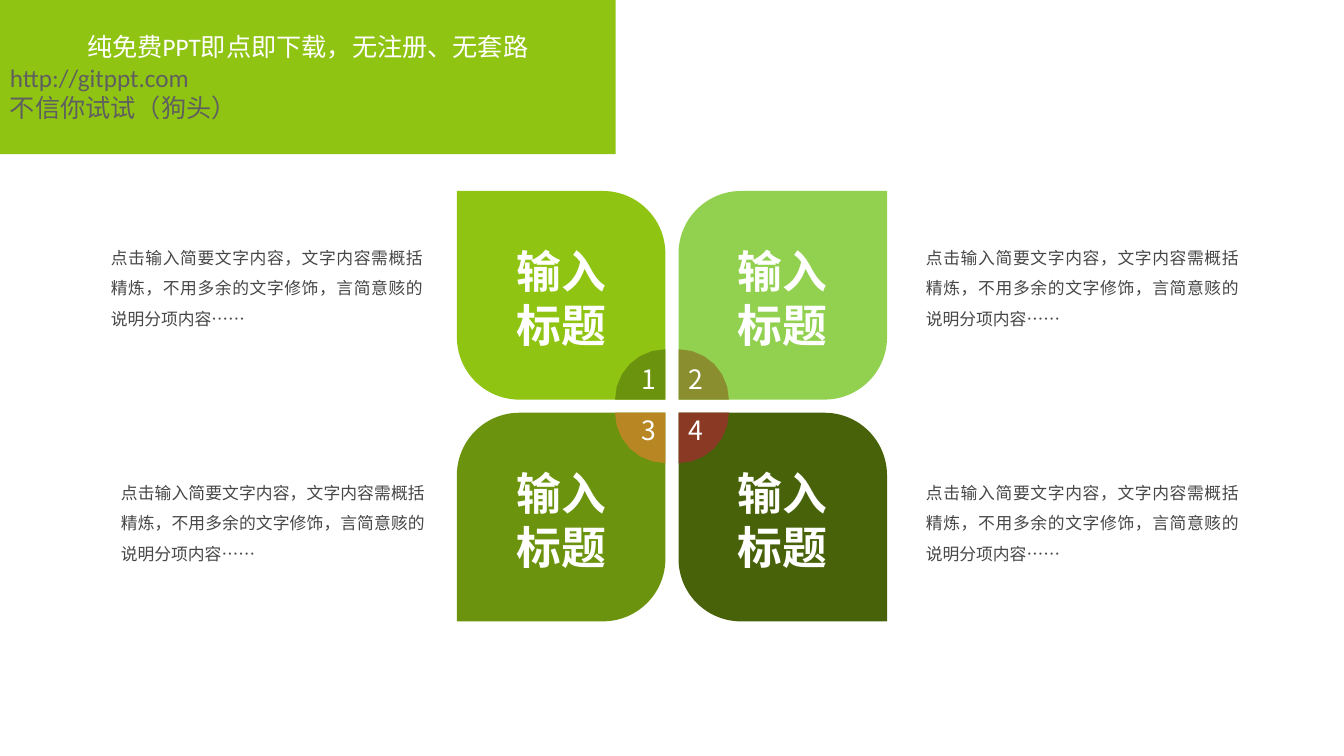
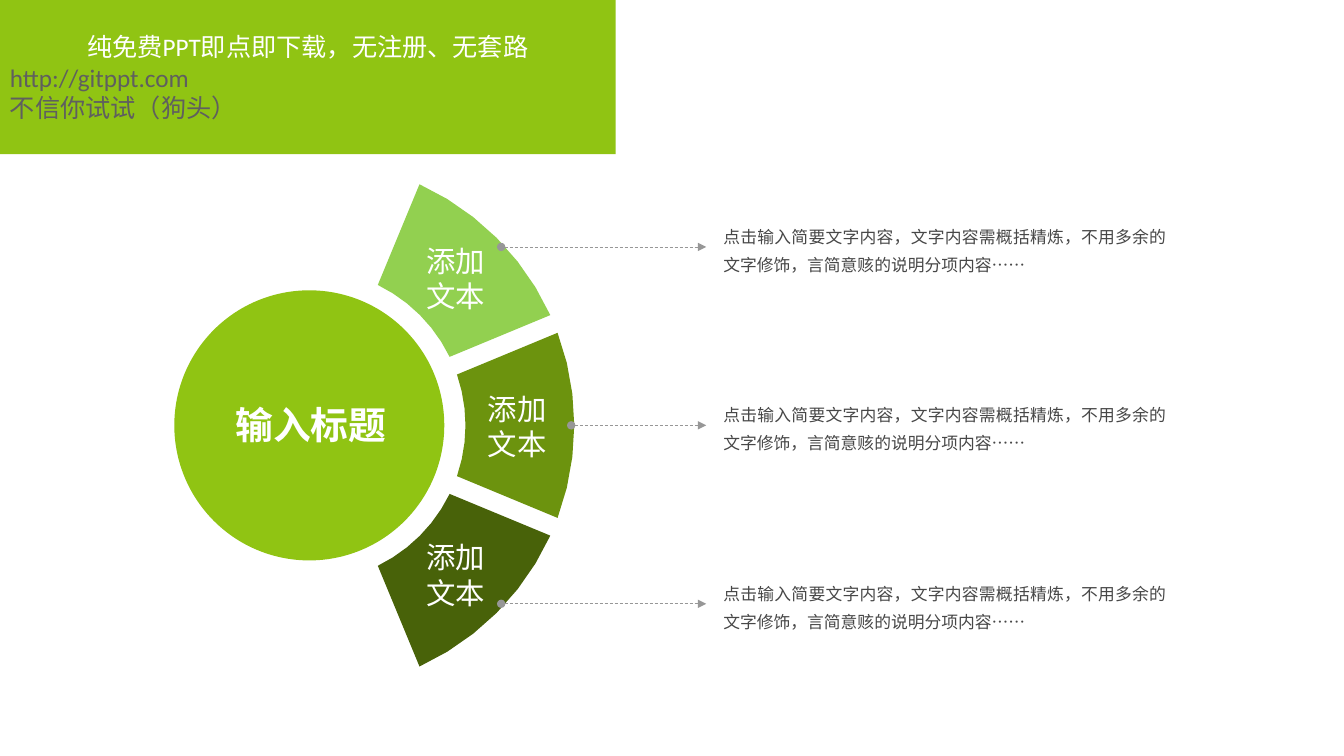
from dataclasses import dataclass
from math import asin, cos, radians, sin, sqrt

from lxml.etree import SubElement
from pptx import Presentation
from pptx.dml.color import RGBColor
from pptx.enum.dml import MSO_LINE
from pptx.enum.shapes import MSO_CONNECTOR, MSO_SHAPE
from pptx.enum.text import MSO_ANCHOR, MSO_AUTO_SIZE, PP_ALIGN
from pptx.oxml.ns import qn
from pptx.shapes.autoshape import Shape
from pptx.slide import Slide
from pptx.text.text import TextFrame, _Paragraph as Para
from pptx.util import Inches, Length, Pt


@dataclass(frozen=True)
class Theme:
    font: str = "Noto Sans CJK SC"
    latin: str = "Calibri"
    lime: str = "90C413"
    light: str = "92D050"
    olive: str = "6C930E"
    dark: str = "486209"
    moss: str = "8B8E2E"
    amber: str = "B88723"
    rust: str = "8A3A24"
    white: str = "FFFFFF"
    ink: str = "474747"
    slate: str = "5F5F5F"
    gray: str = "979797"
    body: int = 12
    band: int = 18
    digit: int = 19
    label: int = 21
    title: int = 27
    petal: int = 32


@dataclass(frozen=True)
class Petal:
    digit: str
    col: int
    row: int
    fill: str
    chip: str
    turn: int  # start angle of the quarter circle
    note: tuple[float, float]  # left and width of the text beside it


T = Theme()
HEAD = "输入标题"
LABEL = "添加文本"
NOTE = "点击输入简要文字内容，文字内容需概括精炼，不用多余的文字修饰，言简意赅的说明分项内容……"
BAND = [
    ("纯免费PPT即点即下载，无注册、无套路", T.white, PP_ALIGN.CENTER),
    ("http://gitppt.com", T.slate, PP_ALIGN.LEFT),
    ("不信你试试（狗头）", T.slate, PP_ALIGN.LEFT),
]

PETALS = [
    Petal("1", 0, 0, T.lime, T.olive, 180, (1.1, 3.1)),
    Petal("2", 1, 0, T.light, T.moss, 270, (9.19, 3.11)),
    Petal("3", 0, 1, T.olive, T.amber, 90, (1.2, 3.02)),
    Petal("4", 1, 1, T.dark, T.rust, 0, (9.19, 3.11)),
]
FANS = [(-45, T.light), (0, T.olive), (45, T.dark)]


def paint(shape: Shape, fill: str) -> None:
    shape.shadow.inherit = False
    shape.fill.solid()
    shape.fill.fore_color.rgb = RGBColor.from_string(fill)
    shape.line.fill.background()


def style(para: Para, size: int, color: str, align: PP_ALIGN,
          bold: bool = False, name: str = T.font) -> None:
    para.alignment = align
    font = para.font
    font.size, font.bold = Pt(size), bold
    font.color.rgb = RGBColor.from_string(color)
    font.name = name
    props = para._p.pPr.find(qn("a:defRPr"))
    SubElement(props, qn("a:ea")).set("typeface", T.font)


def write(frame: TextFrame, text: str, size: int, color: str = T.white,
          align: PP_ALIGN = PP_ALIGN.CENTER, bold: bool = False,
          pad: tuple[float, float, float, float] = (0, 0, 0, 0),
          lead: float | Length | None = None) -> None:
    """Fill a frame with one paragraph; pad is left, top, right, bottom."""
    (frame.margin_left, frame.margin_top,
     frame.margin_right, frame.margin_bottom) = map(Inches, pad)
    frame.word_wrap = True
    frame.text = text
    para = frame.paragraphs[0]
    para.line_spacing = lead
    style(para, size, color, align, bold)


def add_block(slide: Slide, kind: MSO_SHAPE, left: float, top: float,
              width: float, height: float, fill: str) -> Shape:
    shape = slide.shapes.add_shape(kind, Inches(left), Inches(top),
                                   Inches(width), Inches(height))
    paint(shape, fill)
    return shape


def add_text(slide: Slide, left: float, top: float, width: float,
             height: float) -> TextFrame:
    box = slide.shapes.add_textbox(Inches(left), Inches(top),
                                   Inches(width), Inches(height))
    return box.text_frame


def add_fan(slide: Slide, x: float, y: float, inner: float, outer: float,
            start: float, end: float, fill: str, gap: float = 0) -> None:
    """Draw a ring sector whose straight sides stand gap / 2 off the rays."""
    steps = 6

    def arc(radius: float) -> list[tuple[Length, Length]]:
        if not radius:
            return [(Inches(x), Inches(y))]
        lean = asin(gap / 2 / radius)
        low, high = radians(start) + lean, radians(end) - lean
        turns = [low + (high - low) * i / steps for i in range(steps + 1)]
        return [(Inches(x + radius * cos(a)), Inches(y + radius * sin(a)))
                for a in turns]

    first, *rest = arc(outer) + arc(inner)[::-1]
    pen = slide.shapes.build_freeform(*first, scale=1.0)
    pen.add_line_segments(rest, close=True)
    paint(pen.convert_to_shape(), fill)


def add_arrow(slide: Slide, left: float, right: float, y: float) -> None:
    link = slide.shapes.add_connector(MSO_CONNECTOR.STRAIGHT, Inches(left),
                                      Inches(y), Inches(right), Inches(y))
    link.line.color.rgb = RGBColor.from_string(T.gray)
    link.line.width = Pt(0.5)
    link.line.dash_style = MSO_LINE.DASH
    props = link._element.spPr
    edge = props.find(qn("a:ln"))
    SubElement(edge, qn("a:headEnd")).set("type", "oval")
    SubElement(edge, qn("a:tailEnd")).set("type", "triangle")
    SubElement(props, qn("a:effectLst"))


def add_band(slide: Slide) -> None:
    band = add_block(slide, MSO_SHAPE.RECTANGLE, 0, 0, 6.11, 1.53, T.lime)
    frame = band.text_frame
    frame.vertical_anchor = MSO_ANCHOR.MIDDLE
    frame.text = "\n".join(text for text, _, _ in BAND)
    for para, (_, color, align) in zip(frame.paragraphs, BAND):
        style(para, T.band, color, align, name=T.latin)


def draw_petals(slide: Slide) -> None:
    side, gap, mid_x, mid_y = 2.07, 0.13, 6.67, 4.03
    for petal in PETALS:
        left = mid_x + gap / 2 + (petal.col - 1) * (side + gap)
        top = mid_y + gap / 2 + (petal.row - 1) * (side + gap)
        leaf = add_block(slide, MSO_SHAPE.ROUND_2_DIAG_RECTANGLE,
                         left, top, side, side, petal.fill)
        same = petal.col == petal.row
        leaf.adjustments[0] = 0 if same else 0.3
        leaf.adjustments[1] = 0.3 if same else 0
        leaf.text_frame.vertical_anchor = MSO_ANCHOR.MIDDLE
        write(leaf.text_frame, HEAD, T.petal, bold=True,
              pad=(0.22, 0.05, 0.22, 0))

        add_fan(slide, mid_x + (petal.col - 0.5) * gap,
                mid_y + (petal.row - 0.5) * gap, 0, 0.5,
                petal.turn, petal.turn + 90, petal.chip)
        digit = add_text(slide, 6.34 + petal.col * 0.47,
                         3.6 + petal.row * 0.51, 0.17, 0.32)
        write(digit, petal.digit, T.digit, align=PP_ALIGN.RIGHT)

        start, width = petal.note
        note = add_text(slide, start, 2.36 + petal.row * 2.33, width, 0.9)
        write(note, NOTE, T.body, T.ink, PP_ALIGN.JUSTIFY, lead=1.5)


def draw_fans(slide: Slide) -> None:
    x, y, inner, outer, step = 3.07, 4.22, 1.55, 2.63, 1.77
    disc = 1.34
    add_block(slide, MSO_SHAPE.OVAL, x - disc, y - disc,
              2 * disc, 2 * disc, T.lime)
    for row, (turn, fill) in enumerate(FANS, -1):
        add_fan(slide, x, y, inner, outer, turn - 22.5, turn + 22.5,
                fill, gap=0.19)
        mid, angle = 2.08, radians(turn)
        label = add_text(slide, x + mid * cos(angle) - 0.44,
                         y + mid * sin(angle) - 0.34, 0.85, 0.7)
        write(label, LABEL, T.label)

        level = y + row * step
        add_arrow(slide, x + sqrt(2.6 ** 2 - (row * step) ** 2), 7.01, level)
        note = add_text(slide, 7.18, level - 0.28, 4.4, 0.56)
        write(note, NOTE, T.body, T.ink, PP_ALIGN.JUSTIFY, lead=Pt(20))

    title = slide.shapes.title
    title.left, title.top = Inches(2.2), Inches(3.92)
    title.width, title.height = Inches(1.77), Inches(0.58)
    write(title.text_frame, HEAD, T.title, bold=True,
          pad=(0.13, 0.07, 0.13, 0.07))
    title.text_frame.word_wrap = False
    title.text_frame.auto_size = MSO_AUTO_SIZE.NONE
    title.text_frame.vertical_anchor = MSO_ANCHOR.MIDDLE
    title._element.getparent().append(title._element)  # above the disc


def main() -> None:
    deck = Presentation()
    deck.slide_width, deck.slide_height = Inches(13.34), Inches(7.5)
    blank, titled = deck.slide_layouts[6], deck.slide_layouts[5]
    for layout, draw in ((blank, draw_petals), (titled, draw_fans)):
        slide = deck.slides.add_slide(layout)
        draw(slide)
        add_band(slide)
    deck.save("out.pptx")


if __name__ == "__main__":
    main()
